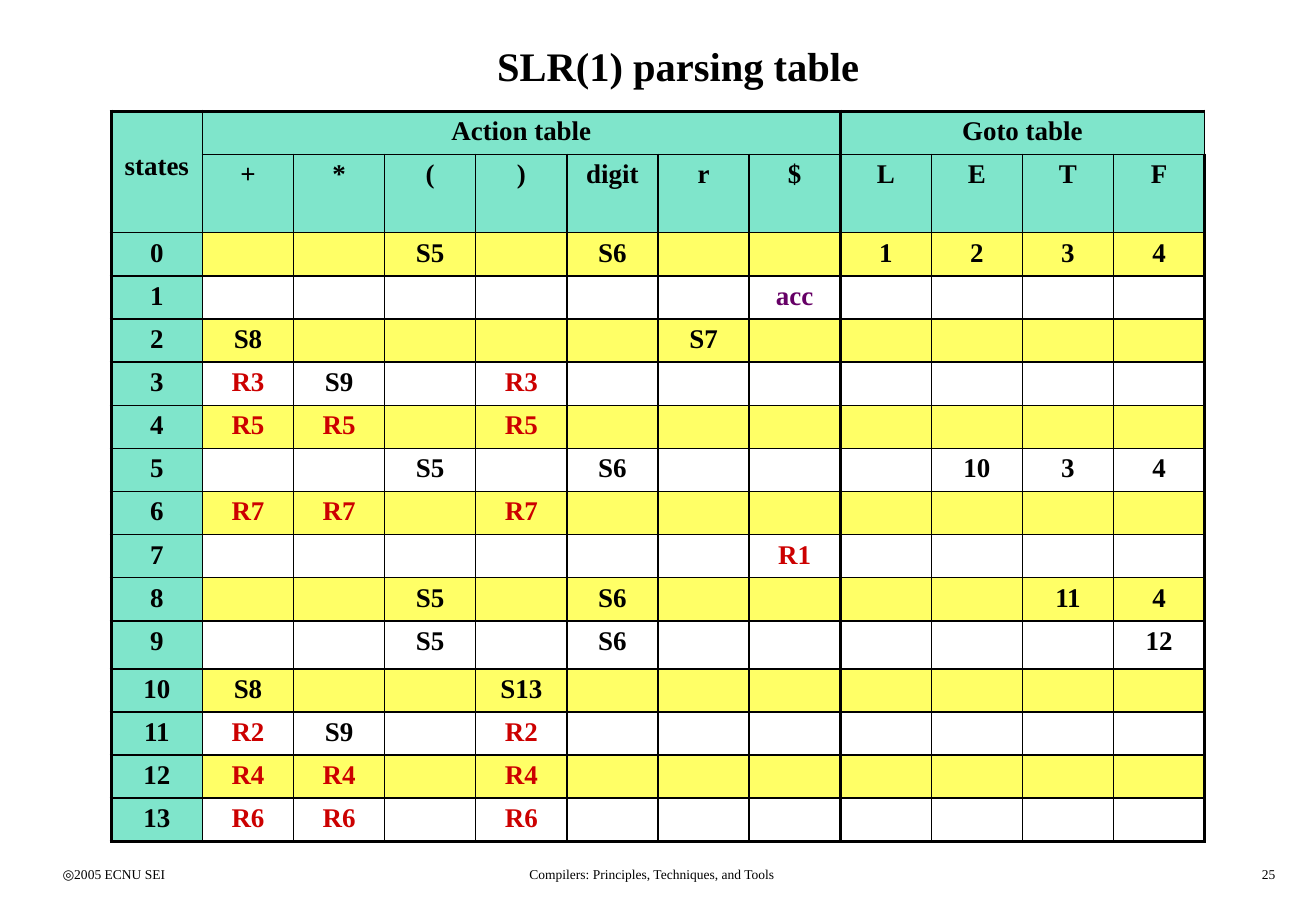
from lxml import etree
from pptx import Presentation
from pptx.dml.color import RGBColor
from pptx.enum.text import MSO_ANCHOR, PP_ALIGN
from pptx.oxml.ns import qn
from pptx.util import Pt

LEFT, MID, RIGHT = PP_ALIGN.LEFT, PP_ALIGN.CENTER, PP_ALIGN.RIGHT
TOP, CENTER = MSO_ANCHOR.TOP, MSO_ANCHOR.MIDDLE

THEME = {
    "font": "Times New Roman",
    "title": 24, "body": 16, "foot": 8,
    "black": "000000", "red": "CC0000", "plum": "660066",
    "teal": "00CC99", "yellow": "FFFF66",
    "thin": 1, "thick": 2.25,
}

LABELS = [
    ("◎2005 ECNU SEI", (30, 510, 163, 18), "foot", False, LEFT, TOP),
    ("Compilers: Principles, Techniques, and Tools",
     (240.5, 510, 292, 18), "foot", False, MID, TOP),
    ("25", (600, 510, 163, 18), "foot", False, RIGHT, TOP),
    ("SLR(1) parsing table", (90, 24, 624, 30), "title", True, MID, CENTER),
]

GROUPS = [("states", 0, 0, 1, 0), ("Action table", 0, 1, 0, 7),
          ("Goto table", 0, 8, 0, 11)]
ACTION = ["+", "*", "(", ")", "digit", "r", "$"]
GOTO = ["L", "E", "T", "F"]
STATES = [
    {"(": "S5", "digit": "S6", "L": "1", "E": "2", "T": "3", "F": "4"},
    {"$": "acc"},
    {"+": "S8", "r": "S7"},
    {"+": "R3", "*": "S9", ")": "R3"},
    {"+": "R5", "*": "R5", ")": "R5"},
    {"(": "S5", "digit": "S6", "E": "10", "T": "3", "F": "4"},
    {"+": "R7", "*": "R7", ")": "R7"},
    {"$": "R1"},
    {"(": "S5", "digit": "S6", "T": "11", "F": "4"},
    {"(": "S5", "digit": "S6", "F": "12"},
    {"+": "S8", ")": "S13"},
    {"+": "R2", "*": "S9", ")": "R2"},
    {"+": "R4", "*": "R4", ")": "R4"},
    {"+": "R6", "*": "R6", ")": "R6"},
]

HEADS = 2
X, Y, COL_W, ROW_H = 66, 66, 54, 25
TALL = {1: 46, 11: 28.4}
PAD = 3.2
STATE_PAD = 24


def write(para, text, size, bold, color, align):
    para.alignment = align
    run = para.add_run()
    run.text = text
    run.font.name = THEME["font"]
    run.font.size = Pt(THEME[size])
    run.font.bold = bold
    run.font.color.rgb = RGBColor.from_string(THEME[color])


def border(cell, sides):
    props = cell._tc.get_or_add_tcPr()
    for pos, (side, width) in enumerate(sides.items()):
        line = etree.Element(qn("a:ln" + side), w=str(Pt(THEME[width])))
        solid = etree.SubElement(line, qn("a:solidFill"))
        etree.SubElement(solid, qn("a:srgbClr"), val=THEME["black"])
        props.insert(pos, line)


def paint(cell, row, col):
    if row >= HEADS and col and row % 2:
        cell.fill.background()
        return
    name = "yellow" if row >= HEADS and col else "teal"
    cell.fill.solid()
    cell.fill.fore_color.rgb = RGBColor.from_string(THEME[name])
    if name == "teal":
        for tint in cell._tc.tcPr.iter(qn("a:srgbClr")):
            etree.SubElement(tint, qn("a:alpha"), val="50000")


def shade(text, row, col):
    if row < HEADS or col == 0:
        return "black"
    if text == "acc":
        return "plum"
    return "red" if text.startswith("R") else "black"


def main():
    deck = Presentation()
    deck.slide_width, deck.slide_height = Pt(780), Pt(540)
    slide = deck.slides.add_slide(deck.slide_layouts[6])

    for text, place, size, bold, align, anchor in LABELS:
        frame = slide.shapes.add_textbox(*map(Pt, place)).text_frame
        frame.word_wrap = True
        frame.vertical_anchor = anchor
        write(frame.paragraphs[0], text, size, bold, "black", align)

    keys = ACTION + GOTO
    grid = [[""] * (len(keys) + 1), [""] + keys]
    for num, moves in enumerate(STATES):
        grid.append([str(num)] + [moves.get(key, "") for key in keys])
    for text, row, col, _, _ in GROUPS:
        grid[row][col] = text

    rows, cols = len(grid), len(grid[0])
    highs = [TALL.get(row, ROW_H) for row in range(rows)]
    table = slide.shapes.add_table(
        rows, cols, Pt(X), Pt(Y), Pt(COL_W * cols), Pt(sum(highs))).table
    table.first_row = table.horz_banding = False
    for col in table.columns:
        col.width = Pt(COL_W)
    for row, high in zip(table.rows, highs):
        row.height = Pt(high)

    left_bold = {0, len(ACTION) + 1}
    right_bold = {len(ACTION), cols - 1}
    for row, texts in enumerate(grid):
        for col, text in enumerate(texts):
            cell = table.cell(row, col)
            cell.margin_top = cell.margin_bottom = Pt(PAD)
            cell.margin_left = cell.margin_right = Pt(PAD)
            paint(cell, row, col)
            border(cell, {
                "L": "thick" if col in left_bold else "thin",
                "R": "thick" if col in right_bold else "thin",
                "T": "thick" if row == 0 else "thin",
                "B": "thick" if row == rows - 1 else "thin",
            })
            para = cell.text_frame.paragraphs[0]
            if text:
                write(para, text, "body", True, shade(text, row, col), MID)
            else:
                etree.SubElement(para._p, qn("a:endParaRPr"),
                                 sz=str(THEME["body"] * 100))

    for _, top, left, low, right in GROUPS:
        table.cell(top, left).merge(table.cell(low, right))
    table.cell(0, 0).margin_top = Pt(STATE_PAD)

    deck.save("out.pptx")


if __name__ == "__main__":
    main()
